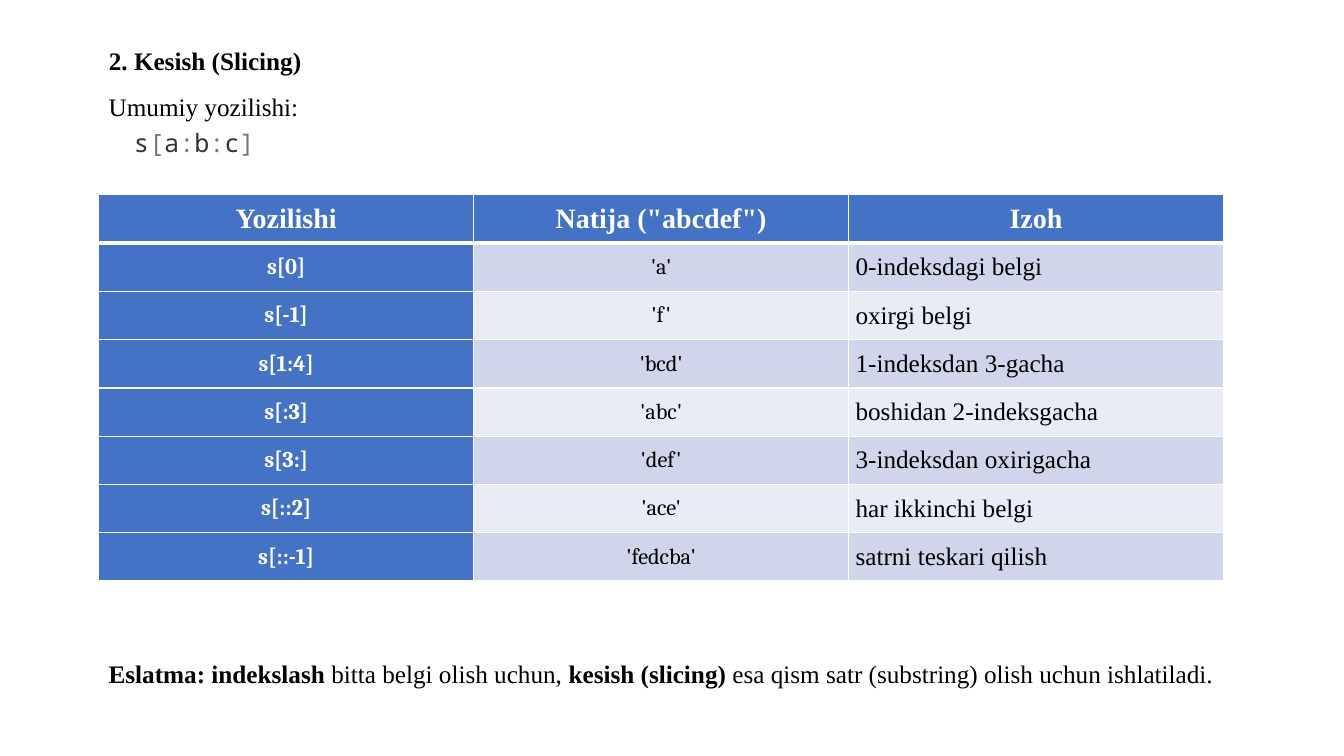
from lxml import etree
from pptx import Presentation
from pptx.dml.color import RGBColor
from pptx.enum import text
from pptx.oxml import ns
from pptx.util import Pt

COLORS = {"black": "000000", "white": "FFFFFF", "header": "4472C4",
          "band_dark": "CFD5EA", "band_light": "E9EBF5",
          "code": "333333", "bracket": "777777"}
SERIF, MONO, CAMBRIA = "Times New Roman", "Noto Sans Mono", "Cambria"
LEFT, WIDTH, ROW_HEIGHT = 70.56, 803.4, 34.47


def add_run(paragraph, words, size=18, name=SERIF, color="black", bold=False):
    run = paragraph.add_run()
    run.text = words
    for key, value in {"size": Pt(size), "name": name, "bold": bold}.items():
        setattr(run.font, key, value)
    run.font.color.rgb = RGBColor.from_string(COLORS[color])


def add_border(cell, side, width):
    line = etree.SubElement(cell._tc.get_or_add_tcPr(), ns.qn(f"a:ln{side}"), w=str(Pt(width)))
    fill = etree.SubElement(line, ns.qn("a:solidFill"))
    etree.SubElement(fill, ns.qn("a:srgbClr"), val=COLORS["white"])


prs = Presentation()
prs.slide_width, prs.slide_height = Pt(960), Pt(540)
slide = prs.slides.add_slide(prs.slide_layouts[5])

heading = slide.shapes.title
intro = slide.shapes.add_textbox(0, 0, 0, 0)
note = slide.shapes.add_textbox(0, 0, 0, 0)
for box, top, width, height in [(heading, 28.8, 480, 28), (intro, 61.5, 480, 58),
                                (note, 466.5, WIDTH, 29)]:
    box.left, box.top, box.width, box.height = Pt(LEFT), Pt(top), Pt(width), Pt(height)
    frame_format = {"word_wrap": True, "auto_size": text.MSO_AUTO_SIZE.NONE,
                    "vertical_anchor": text.MSO_ANCHOR.TOP}
    for key, value in frame_format.items():
        setattr(box.text_frame, key, value)
    box.text_frame.paragraphs[0].alignment = text.PP_ALIGN.LEFT

add_run(heading.text_frame.paragraphs[0], "2. Kesish (Slicing)", bold=True)

general_form = intro.text_frame.paragraphs[0]
general_form.space_after = Pt(6)
add_run(general_form, "Umumiy yozilishi:")
syntax = intro.text_frame.add_paragraph()
syntax._p.get_or_add_pPr().set("marL", str(Pt(18)))
syntax.line_spacing, syntax.space_before = Pt(14.2), Pt(6)
for symbol in "s[a:b:c]":
    add_run(syntax, symbol, name=MONO, color="code" if symbol.isalpha() else "bracket")

for words, bold in [("Eslatma: indekslash ", True),
                    ("bitta belgi olish uchun, ", False),
                    ("kesish (slicing) ", True),
                    ("esa qism satr (substring) olish uchun ishlatiladi.", False)]:
    add_run(note.text_frame.paragraphs[0], words, bold=bold)

slices = [
    ("Yozilishi", 'Natija ("abcdef")', "Izoh"),
    ("s[0]", "'a'", "0-indeksdagi belgi"),
    ("s[-1]", "'f'", "oxirgi belgi"),
    ("s[1:4]", "'bcd'", "1-indeksdan 3-gacha"),
    ("s[:3]", "'abc'", "boshidan 2-indeksgacha"),
    ("s[3:]", "'def'", "3-indeksdan oxirigacha"),
    ("s[::2]", "'ace'", "har ikkinchi belgi"),
    ("s[::-1]", "'fedcba'", "satrni teskari qilish"),
]
slice_table = slide.shapes.add_table(len(slices), 3, Pt(LEFT), Pt(139.2), Pt(WIDTH),
                                     Pt(ROW_HEIGHT * len(slices))).table
slice_table.first_col = True
cell_format = {"margin_left": Pt(5), "margin_right": Pt(5), "margin_top": 0,
               "margin_bottom": 0, "vertical_anchor": text.MSO_ANCHOR.MIDDLE}
for r, entries in enumerate(slices):
    slice_table.rows[r].height = Pt(ROW_HEIGHT)
    for c, words in enumerate(entries):
        cell = slice_table.cell(r, c)
        for key, value in cell_format.items():
            setattr(cell, key, value)
        for side, width in {"L": 1, "R": 1, "T": 3 if r == 1 else 1,
                            "B": 3 if r == 0 else 1}.items():
            add_border(cell, side, width)
        emphasized = r == 0 or c == 0
        band = "band_dark" if r % 2 else "band_light"
        cell.fill.solid()
        cell.fill.fore_color.rgb = RGBColor.from_string(COLORS["header" if emphasized else band])
        paragraph = cell.text_frame.paragraphs[0]
        centered = r == 0 or c < 2
        paragraph.alignment = text.PP_ALIGN.CENTER if centered else text.PP_ALIGN.LEFT
        size = 20 if r == 0 else (16, 16, 18)[c]
        add_run(paragraph, words, size, CAMBRIA if r and c < 2 else SERIF,
                "white" if emphasized else "black", emphasized)

prs.save("out.pptx")
